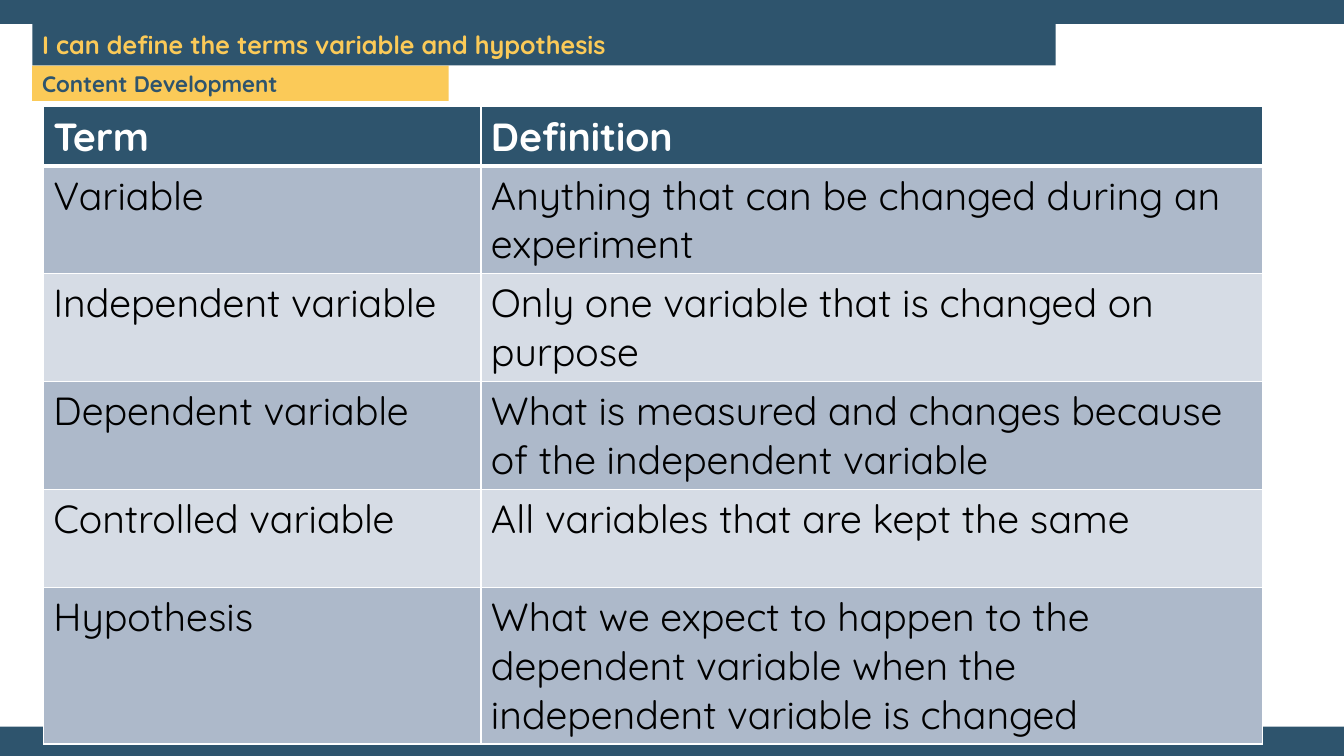
from pptx import Presentation
from pptx.dml.color import RGBColor
from pptx.enum.shapes import MSO_SHAPE
from pptx.enum.text import MSO_ANCHOR, PP_ALIGN
from pptx.oxml import parse_xml
from pptx.oxml.ns import nsdecls
from pptx.util import Inches, Pt

FONT = "Quicksand"
NAVY, YELLOW, WHITE, BLACK = "2E546D", "FBCA58", "FFFFFF", "000000"
BANDS = ["ADB9CA", "D6DCE5"]
WIDTH, HEIGHT = 13.33, 7.5
EDGE = 0.24
TERMS = [
    ("Term", "Definition"),
    ("Variable", "Anything that can be changed during an experiment"),
    ("Independent variable", "Only one variable that is changed on purpose"),
    ("Dependent variable", "What is measured and changes because of the independent variable"),
    ("Controlled variable", "All variables that are kept the same"),
    ("Hypothesis", "What we expect to happen to the dependent variable "
                   "when the independent variable is changed"),
]


def color(value):
    """Turn a hex string into a colour."""
    return RGBColor.from_string(value)


def style_paragraph(paragraph, size, text_color, bold):
    """Set the font of a whole paragraph."""
    font = paragraph.font
    font.name, font.size, font.bold = FONT, Pt(size), bold
    font.color.rgb = color(text_color)


def add_block(slide, box, fill):
    """Draw a plain filled rectangle in the box."""
    shape = slide.shapes.add_shape(MSO_SHAPE.RECTANGLE, *map(Inches, box))
    shape.shadow.inherit = False
    shape.fill.solid()
    shape.fill.fore_color.rgb = color(fill)
    shape.line.fill.background()
    return shape


def add_banner(slide, box, fill, text, size, text_color):
    """Draw a filled strip with one bold line of text."""
    frame = add_block(slide, box, fill).text_frame
    frame.word_wrap = True
    frame.vertical_anchor = MSO_ANCHOR.MIDDLE
    paragraph = frame.paragraphs[0]
    paragraph.text = text
    paragraph.alignment = PP_ALIGN.LEFT
    style_paragraph(paragraph, size, text_color, True)


def add_borders(cell, bottom, top):
    """Give a cell white borders, with its own bottom and top widths."""
    properties = cell._tc.get_or_add_tcPr()
    for side, width in (("L", 1), ("R", 1), ("T", top), ("B", bottom)):
        properties.append(parse_xml(
            f'<a:ln{side} {nsdecls("a")} w="{Pt(width)}"><a:solidFill>'
            f'<a:srgbClr val="{WHITE}"/></a:solidFill></a:ln{side}>'))


def add_term_table(slide, box, column_widths, header_height):
    """Fill the box with a header row and equal banded rows of terms."""
    height = box[3]
    table = slide.shapes.add_table(len(TERMS), 2, *map(Inches, box)).table
    for column, width in zip(table.columns, column_widths):
        column.width = Inches(width)
    row_height = (height - header_height) / (len(TERMS) - 1)
    for index, texts in enumerate(TERMS):
        header = index == 0
        table.rows[index].height = Inches(header_height if header else row_height)
        for cell, text in zip(table.rows[index].cells, texts):
            cell.text = text
            style_paragraph(cell.text_frame.paragraphs[0], 28,
                            WHITE if header else BLACK, header)
            add_borders(cell, 3 if header else 1, 3 if index == 1 else 1)
            cell.fill.solid()
            cell.fill.fore_color.rgb = color(NAVY if header else BANDS[(index - 1) % 2])


def add_frame(slide, box):
    """Draw the navy page with its white panel."""
    left, top, width, height = box
    add_block(slide, box, NAVY)
    add_block(slide, (left, top + EDGE, width, height - EDGE - 0.29), WHITE)


def add_headings(slide, box):
    """Stack the learning goal above the section label."""
    left, top, width, height = box
    goal_height = 0.41
    add_banner(slide, (left, top + goal_height, 4.13, height - goal_height),
               YELLOW, "Content Development", 16, NAVY)
    add_banner(slide, (left, top, width, goal_height), NAVY,
               "I can define the terms variable and hypothesis", 18, YELLOW)


def main():
    """Build the slide and save it."""
    presentation = Presentation()
    presentation.slide_width, presentation.slide_height = Inches(WIDTH), Inches(HEIGHT)
    slide = presentation.slides.add_slide(presentation.slide_layouts[6])
    add_frame(slide, (0, 0, WIDTH, HEIGHT))
    add_headings(slide, (0.32, EDGE, 10.15, 0.76))
    add_term_table(slide, (0.43, 1.06, 12.09, 5.39), (4.34, 7.75), 0.54)
    presentation.save("out.pptx")


if __name__ == "__main__":
    main()
